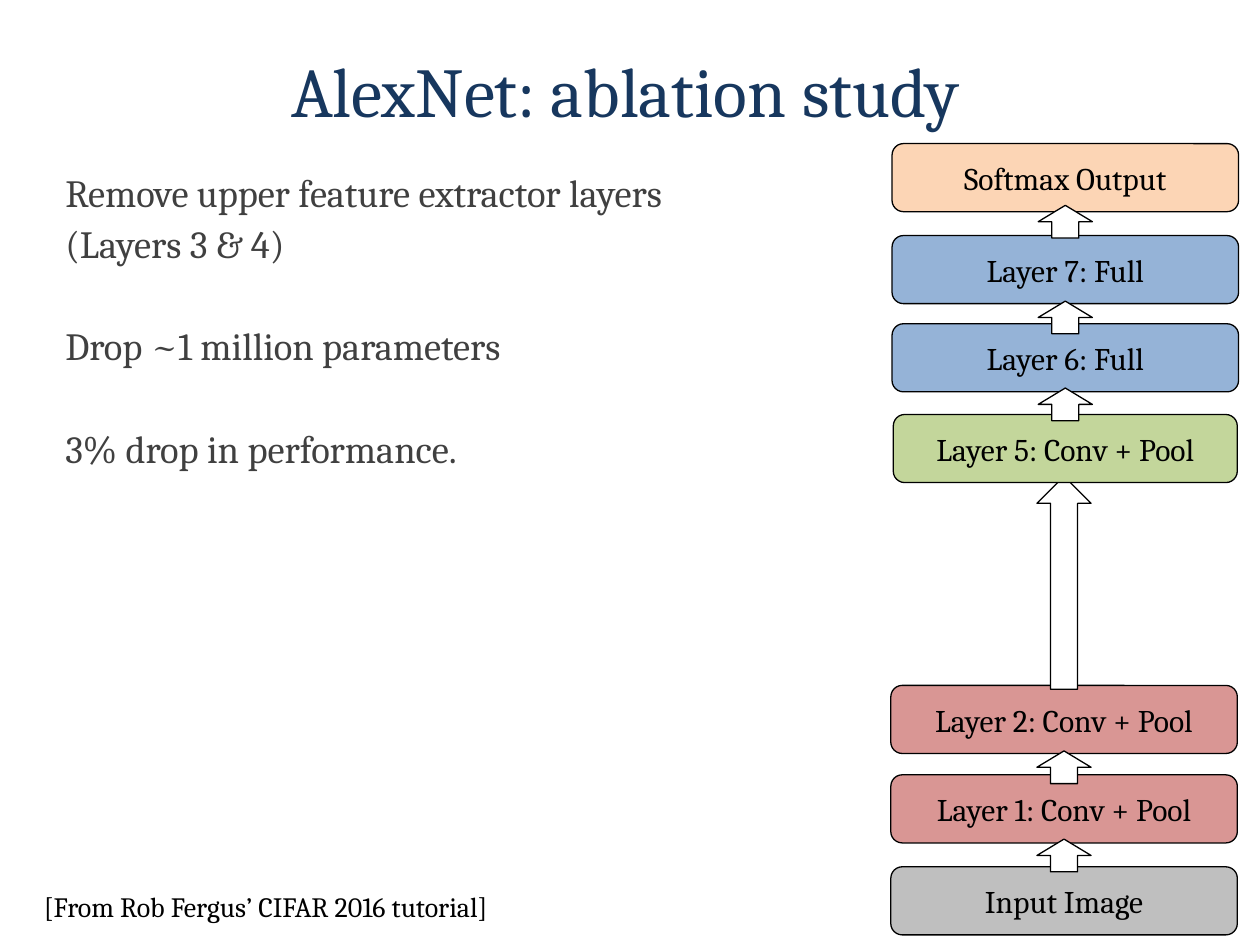
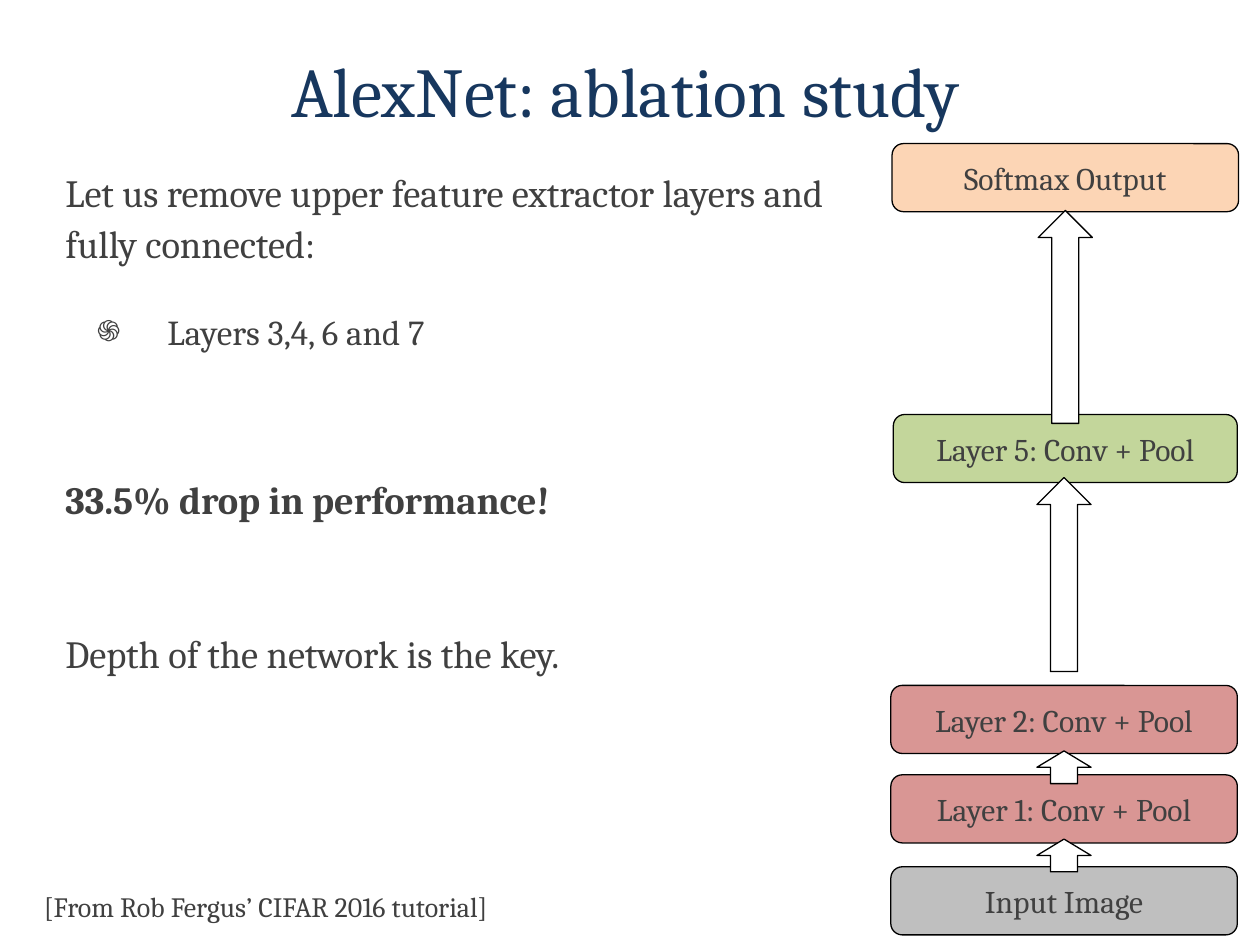
from lxml import etree
from pptx import Presentation
from pptx.dml.color import RGBColor
from pptx.enum.shapes import MSO_SHAPE
from pptx.enum.text import MSO_ANCHOR, PP_ALIGN
from pptx.oxml.ns import qn
from pptx.util import Inches, Pt

ROUNDED, UP_ARROW = MSO_SHAPE.ROUNDED_RECTANGLE, MSO_SHAPE.UP_ARROW
MIDDLE, CENTER, LEFT = MSO_ANCHOR.MIDDLE, PP_ALIGN.CENTER, PP_ALIGN.LEFT

FONT = "Cambria"
COLORS = {
    "title": "17375E", "grey": "404040", "black": "000000", "white": "FFFFFF",
    "input": "BFBFBF", "early": "D99694", "conv": "C3D69B",
    "full": "95B3D7", "output": "FCD5B5",
}
BLANK_LINE = 29.25  # points taken by one line of body text
BODY_SPACING = 1.11

TITLE = "AlexNet: ablation study"
CREDIT = "[From Rob Fergus’ CIFAR 2016 tutorial]"

TITLE_BOX = (0.17, 0.33, 9.58, 0.77)
CREDIT_BOX = (0.25, 7.01, 9.75, 0.37)
NETWORK_AT = (7.07, 1.14)
BLOCK_HEIGHT = 0.54
ARROW_WIDTH, SHORT_ARROW = 0.43, 0.26

# Layer: offset from the network's left and top, width, colour
LAYERS = {
    "Input Image": (0, 5.74, 2.75, "input"),
    "Layer 1: Conv + Pool": (0, 5.01, 2.75, "early"),
    "Layer 2: Conv + Pool": (0, 4.3, 2.75, "early"),
    "Layer 5: Conv + Pool": (0.02, 2.15, 2.73, "conv"),
    "Layer 6: Full": (0.01, 1.43, 2.75, "full"),
    "Layer 7: Full": (0.01, 0.73, 2.75, "full"),
    "Softmax Output": (0.01, 0, 2.75, "output"),
}
INPUT, LAYER_1, LAYER_2, LAYER_5, LAYER_6, LAYER_7, SOFTMAX = LAYERS

# Arrow: layer it leaves, offset from the network's top, height
LOWER_ARROWS = [(INPUT, 5.52, SHORT_ARROW), (LAYER_1, 4.82, SHORT_ARROW)]
UPPER_ARROWS = [(LAYER_5, 1.94, SHORT_ARROW), (LAYER_6, 1.25, SHORT_ARROW),
                (LAYER_7, 0.49, SHORT_ARROW)]


def rgb(color):
    return RGBColor.from_string(COLORS[color])


def write(paragraph, text, size, color, bold=False, align=LEFT, **spacing):
    paragraph.text = text
    for name, value in {"alignment": align, **spacing}.items():
        setattr(paragraph, name, value)
    font_format = {"name": FONT, "size": Pt(size), "bold": bold}
    for name, value in font_format.items():
        setattr(paragraph.font, name, value)
    paragraph.font.color.rgb = rgb(color)


def add_text_frame(slide, box):
    frame = slide.shapes.add_textbox(*map(Inches, box)).text_frame
    frame.word_wrap = True
    return frame


def add_title(slide):
    paragraph = add_text_frame(slide, TITLE_BOX).paragraphs[0]
    write(paragraph, TITLE, 40, "title", align=CENTER)


def add_credit(slide, ink):
    write(add_text_frame(slide, CREDIT_BOX).paragraphs[0], CREDIT, 16, ink)


def add_body(slide, box, statements):
    """Write (text, blank lines before it, bold) statements."""
    frame = add_text_frame(slide, box)
    for number, (text, gap, bold) in enumerate(statements):
        paragraph = frame.add_paragraph() if number else frame.paragraphs[0]
        write(paragraph, text, 22, "grey", bold, line_spacing=BODY_SPACING,
              space_before=Pt(gap * BLANK_LINE))


def add_bullet(slide, box, text):
    paragraph = add_text_frame(slide, box).paragraphs[0]
    indent = Inches(0.56)
    properties = paragraph._p.get_or_add_pPr()
    properties.set("marL", str(indent))
    properties.set("indent", str(-indent))
    for tag, name, value in (("a:buSzPct", "val", "83000"),
                             ("a:buFont", "typeface", FONT),
                             ("a:buChar", "char", "֍")):
        etree.SubElement(properties, qn(tag)).set(name, value)
    write(paragraph, text, 20, "grey", line_spacing=Pt(34))


def add_outlined(slide, preset, box, fill):
    shape = slide.shapes.add_shape(preset, *map(Inches, box))
    shape.shadow.inherit = False
    shape.fill.solid()
    shape.fill.fore_color.rgb = rgb(fill)
    shape.line.color.rgb = rgb("black")
    shape.line.width = Pt(0.75)
    return shape


def add_layers(slide, origin, names, ink):
    left, top = origin
    for name in names:
        dx, dy, width, fill = LAYERS[name]
        box = (left + dx, top + dy, width, BLOCK_HEIGHT)
        frame = add_outlined(slide, ROUNDED, box, fill).text_frame
        frame.word_wrap = True
        frame.vertical_anchor = MIDDLE
        write(frame.paragraphs[0], name, 18, ink, align=CENTER)


def add_arrows(slide, origin, arrows):
    left, top = origin
    for source, dy, height in arrows:
        dx, _, width, _ = LAYERS[source]
        center = left + dx + width / 2
        box = (center - ARROW_WIDTH / 2, top + dy, ARROW_WIDTH, height)
        add_outlined(slide, UP_ARROW, box, "white")


def build_without_layers_3_4(slide):
    add_title(slide)
    add_body(slide, (0.42, 1.25, 9.17, 2.95), [
        ("Remove upper feature extractor layers\n(Layers 3 & 4)", 0, False),
        ("Drop ~1 million parameters", 1, False),
        ("3% drop in performance.", 1, False),
    ])
    add_layers(slide, NETWORK_AT, [INPUT, LAYER_1, LAYER_2], "black")
    # The long arrow's tip lies behind layer 5
    add_arrows(slide, NETWORK_AT, LOWER_ARROWS + [(LAYER_2, 2.64, 1.69)])
    add_layers(slide, NETWORK_AT, [LAYER_5, LAYER_6, LAYER_7, SOFTMAX], "black")
    add_arrows(slide, NETWORK_AT, UPPER_ARROWS)
    add_credit(slide, "black")


def build_without_layers_3_4_6_7(slide):
    add_title(slide)
    add_body(slide, (0.42, 1.25, 6.58, 4.59), [
        ("Let us remove upper feature extractor layers and fully connected:",
         0, False),
        ("33.5% drop in performance!", 4, True),
        ("Depth of the network is the key.", 2, False),
    ])
    add_bullet(slide, (0.67, 2.28, 3.42, 0.52), "Layers 3,4, 6 and 7")
    kept = [INPUT, LAYER_1, LAYER_2, LAYER_5, SOFTMAX]
    add_layers(slide, NETWORK_AT, kept, "grey")
    add_arrows(slide, NETWORK_AT, LOWER_ARROWS + [(LAYER_2, 2.65, 1.54),
                                                  (LAYER_5, 0.53, 1.69)])
    add_credit(slide, "grey")


def main():
    deck = Presentation()
    deck.slide_width, deck.slide_height = Inches(10), Inches(7.5)
    blank = deck.slide_layouts[6]
    for build in (build_without_layers_3_4, build_without_layers_3_4_6_7):
        build(deck.slides.add_slide(blank))
    deck.save("out.pptx")


if __name__ == "__main__":
    main()
